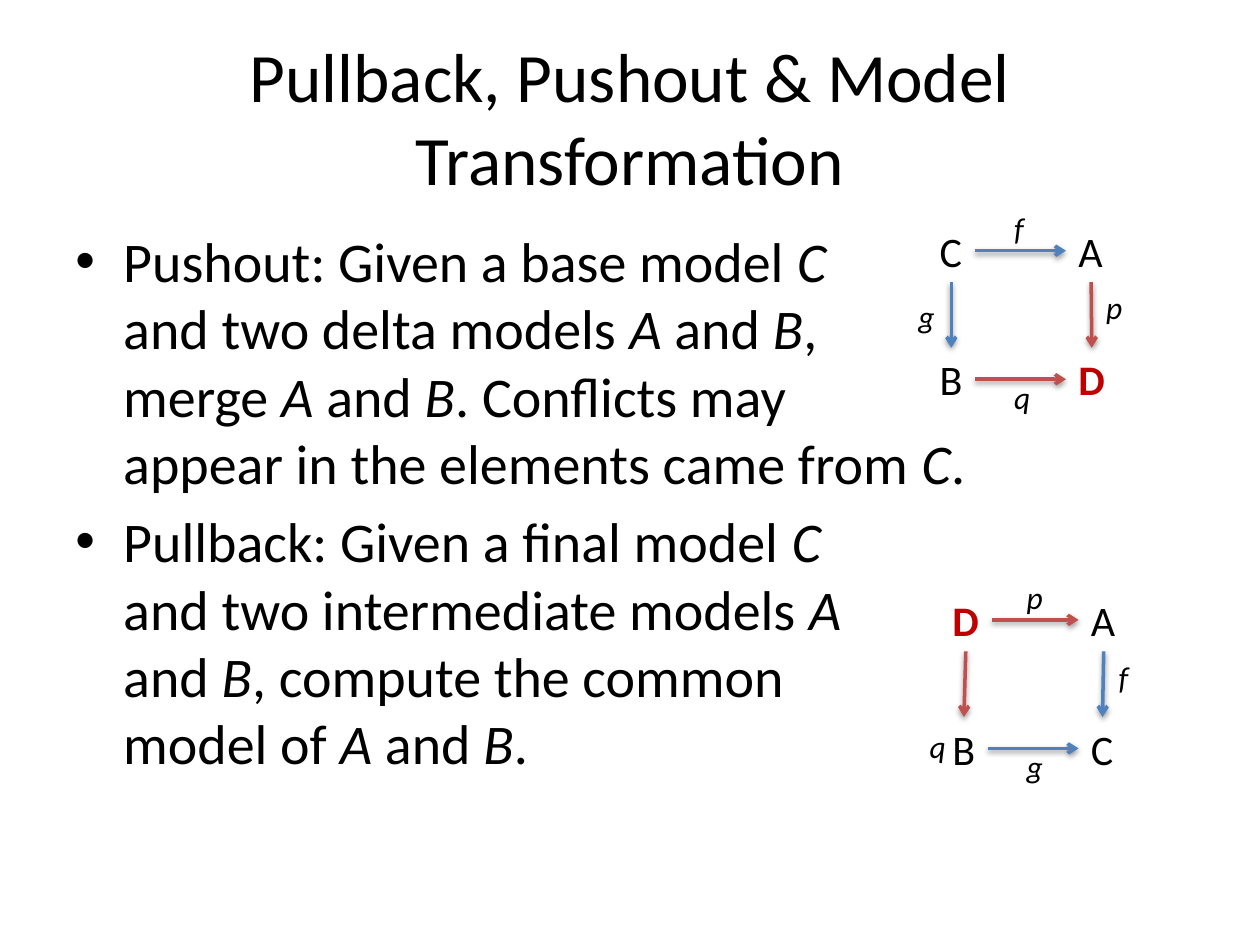
from lxml import etree
from pptx import Presentation
from pptx import util as u
from pptx.dml.color import RGBColor
from pptx.enum import shapes, text
from pptx.oxml import parse_xml
from pptx.oxml.ns import nsdecls, qn

FONT = "Calibri"
BLACK, BLUE, RED, DARK_RED = "000000", "4F81BD", "C0504D", "C00000"
COL, ROW, NODE_H, LABEL_H = 1.1, 1.02, 0.5, 0.4
NODE_W = {"A": 0.4, "B": 0.38, "C": 0.38, "D": 0.41}
BODY = (
    "Pushout: Given a base model *C*\nand two delta models *A* and *B*,\n"
    "merge *A* and *B*. Conflicts may\nappear in the elements came from *C*.",
    "Pullback: Given a final model *C*\nand two intermediate models *A*\n"
    "and *B*, compute the common\nmodel of *A* and *B*.",
)


def rgb(color):
    return RGBColor.from_string(color)


def style(font, size, color=BLACK, bold=False, italic=False):
    font.name, font.size, font.color.rgb = FONT, u.Pt(size), rgb(color)
    font.bold, font.italic = bold, italic


def add_box(s, left, top, width, height, wrap=True):
    sp = s.shapes.add_textbox(*map(u.Inches, (left, top, width, height)))
    sp.text_frame.word_wrap = wrap
    return sp.text_frame


def add_title(s, box, title):
    tf = add_box(s, *box)
    tf.vertical_anchor = text.MSO_ANCHOR.MIDDLE
    tf.text = title
    p = tf.paragraphs[0]
    p.alignment = text.PP_ALIGN.CENTER
    style(p.runs[0].font, 39.6)


def add_bullets(s, box, items):
    """Fill a box with bullets; asterisks enclose italic words."""
    tf = add_box(s, *box)
    for i, item in enumerate(items):
        p = tf.add_paragraph() if i else tf.paragraphs[0]
        pPr = p._p.get_or_add_pPr()
        pPr.set("marL", str(u.Inches(0.38)))
        pPr.set("indent", str(-u.Inches(0.38)))
        etree.SubElement(pPr, qn("a:buFont")).set("typeface", "Arial")
        etree.SubElement(pPr, qn("a:buChar")).set("char", "•")
        if i:
            p.space_before = u.Pt(6.4)
        for j, line in enumerate(item.split("\n")):
            if j:
                p.add_line_break()
            for k, part in enumerate(line.split("*")):
                if part:
                    r = p.add_run()
                    r.text = part
                    style(r.font, 32, italic=k % 2 == 1)


def add_letter(s, letter, left, top, width, height, size, **look):
    tf = add_box(s, left, top, width, height, wrap=False)
    tf.auto_size = text.MSO_AUTO_SIZE.SHAPE_TO_FIT_TEXT
    tf.text = letter
    style(tf.paragraphs[0].runs[0].font, size, **look)


def add_arrow(s, start, end, color):
    c = s.shapes.add_connector(shapes.MSO_CONNECTOR.STRAIGHT,
                               *map(u.Inches, (*start, *end)))
    c.line.color.rgb, c.line.width = rgb(color), u.Pt(2)
    etree.SubElement(c.line._get_or_add_ln(), qn("a:tailEnd")).set("type", "arrow")
    c._element.spPr.append(parse_xml(
        f'<a:effectLst {nsdecls("a")}><a:outerShdw blurRad="40000" dist="20000" '
        'dir="5400000" rotWithShape="0"><a:srgbClr val="000000">'
        '<a:alpha val="38000"/></a:srgbClr></a:outerShdw></a:effectLst>'))


def add_square(s, left, top, nodes, arrows, left_label_at):
    """Commuting square: nodes by row; arrows are top, left, right, bottom."""
    corners = [(left + COL * (i % 2), top + ROW * (i // 2)) for i in range(4)]
    for node, (x, y) in zip(nodes, corners):
        new = node == "D"
        add_letter(s, node, x, y, NODE_W[node], NODE_H, 24,
                   color=DARK_RED if new else BLACK, bold=new)
    ends = ((0, 1), (0, 2), (1, 3), (2, 3))
    label_at = ((0.59, -0.13), left_label_at, (1.32, 0.5), (0.59, 1.21))
    for (label, color), (a, b), (dx, dy) in zip(arrows, ends, label_at):
        (xa, ya), (xb, yb) = corners[a], corners[b]
        wa, wb = NODE_W[nodes[a]], NODE_W[nodes[b]]
        if ya == yb:
            start, end = (xa + wa, ya + NODE_H / 2), (xb, yb + NODE_H / 2)
        else:
            start, end = (xa + wa / 2, ya + NODE_H), (xb + wb / 2, yb)
        add_arrow(s, start, end, color)
        add_letter(s, label, left + dx, top + dy, 0.28 if label == "f" else 0.33,
                   LABEL_H, 18, italic=True)


def main():
    prs = Presentation()
    prs.slide_width, prs.slide_height = u.Inches(10), u.Inches(7.5)
    s = prs.slides.add_slide(prs.slide_layouts[6])
    add_title(s, (0.5, 0.3, 9, 1.25), "Pullback, Pushout & Model Transformation")
    add_bullets(s, (0.5, 1.75, 9, 4.95), BODY)
    add_square(s, 7.36, 1.74, "CABD",
               (("f", BLUE), ("g", BLUE), ("p", RED), ("q", RED)), (-0.17, 0.57))
    add_square(s, 7.46, 4.67, "DABC",
               (("p", RED), ("q", RED), ("f", BLUE), ("g", BLUE)), (-0.18, 1.05))
    prs.save("out.pptx")


if __name__ == "__main__":
    main()
